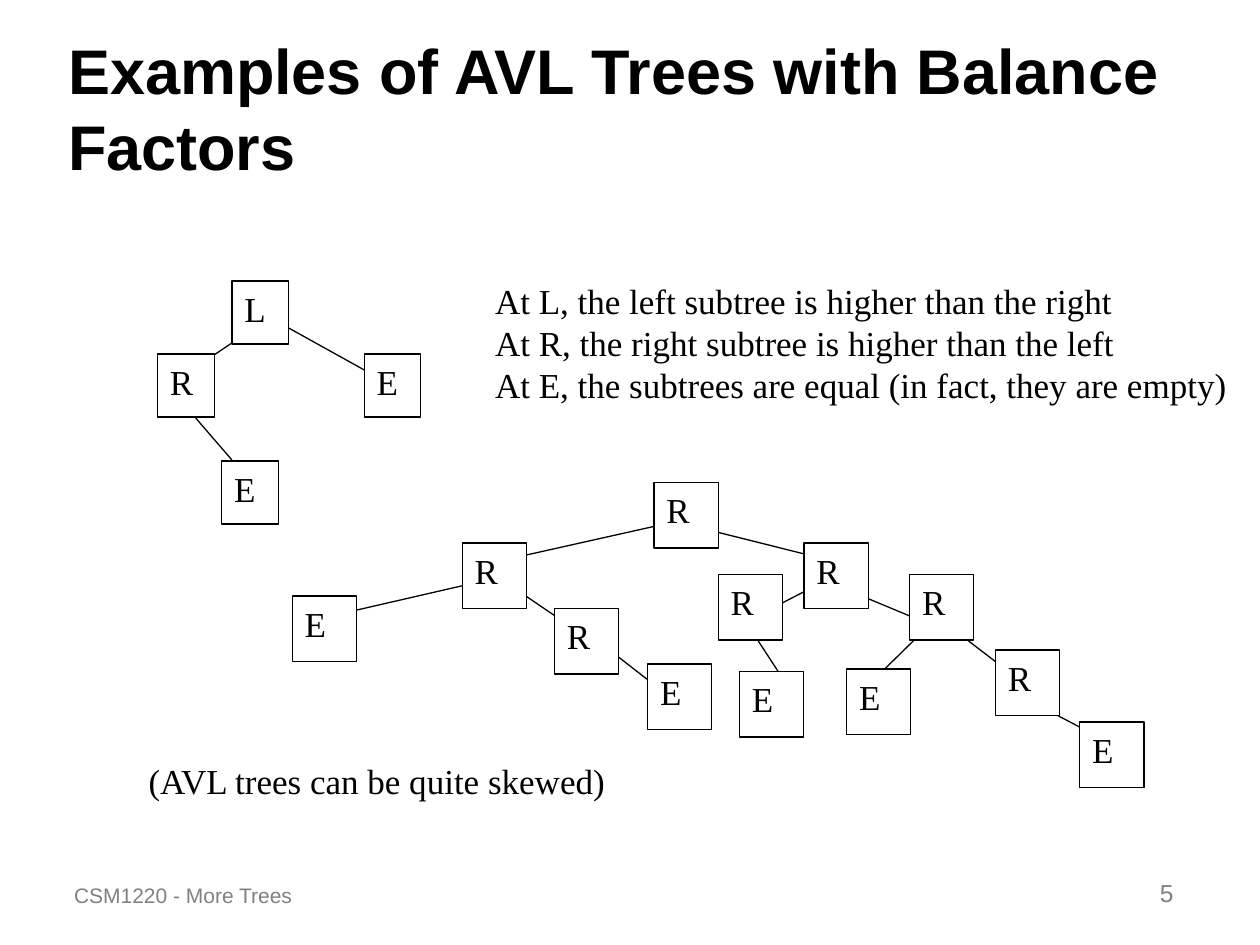
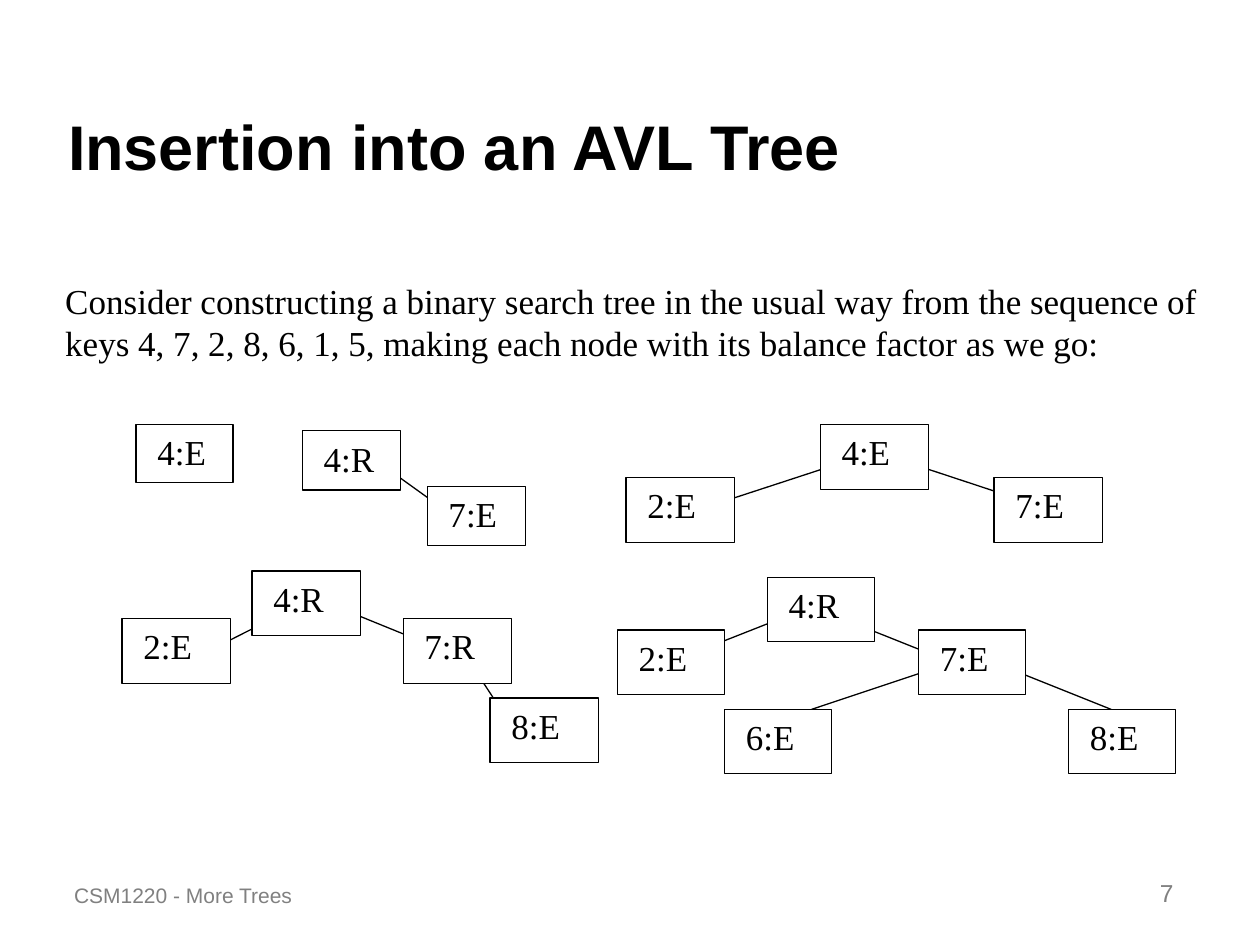
from lxml.etree import SubElement
from pptx import Presentation
from pptx.dml.color import RGBColor
from pptx.enum.shapes import MSO_CONNECTOR as Connector, MSO_SHAPE as Preset
from pptx.enum.text import MSO_ANCHOR as Anchor, MSO_AUTO_SIZE as AutoSize, PP_ALIGN as Align
from pptx.oxml.ns import qn
from pptx.util import Pt

BLACK, WHITE, GRAY = "000000", "FFFFFF", "808080"
TITLE_STYLE = {"name": "Arial", "size": Pt(36), "bold": True}
BODY_STYLE = {"name": "Times New Roman", "size": Pt(20)}
FOOTER_STYLE = {"name": "Arial", "size": Pt(12)}
NUMBER_STYLE = {"name": "Arial", "size": Pt(14)}
TITLE_BOX = (31.7, 18, 652.3, 90)
FOOTER_BOX = (35.3, 486, 216, 36)
NUMBER_BOX = (527.8, 486, 149.8, 36)
FOOTER = "CSM1220 - More Trees"
MARGIN = 7.2
KEY_MARGIN = 12.2

SLIDES = [
    {
        "title": "Examples of AVL Trees with Balance Factors",
        "number": "5",
        "node_margin": MARGIN,
        "notes": [
            (["(AVL trees can be quite skewed)"], (77.8, 430.6, 306, 31.7), True),
            (["At L, the left subtree is higher than the right",
              "At R, the right subtree is higher than the left",
              "At E, the subtrees are equal (in fact, they are empty)"],
             (275.8, 156.2, 432.7, 79.2), False),
        ],
        "trees": [
            {
                "size": (32.4, 36),
                "nodes": [("L", 132.5, 160.6), ("E", 208.1, 202.3),
                          ("R", 90, 202.3), ("E", 126.7, 263.5)],
                "edges": [(154.1, 181.4, 100.8, 217.4), (154.1, 181.4, 218.9, 217.4),
                          (100.8, 226.1, 132.5, 262.8)],
            },
            {
                "size": (36.7, 37.4),
                "nodes": [("R", 264.2, 310.3), ("R", 373.7, 275.8), ("R", 459.4, 310.3),
                          ("R", 519.8, 328.3), ("R", 410.4, 328.3), ("R", 568.8, 371.5),
                          ("E", 617, 412.6), ("E", 167, 340.6), ("R", 316.8, 347.8),
                          ("E", 370.1, 379.4), ("E", 422.6, 383.8), ("E", 483.8, 382.3)],
                "edges": [(534.2, 354.2, 504, 383.8), (385.9, 298.1, 276.5, 322.6),
                          (385.9, 298.1, 483.8, 322.6), (276.5, 331.9, 167, 357.1),
                          (293, 335.5, 329, 360), (471.6, 331.9, 422.6, 357.1),
                          (471.6, 331.9, 532.1, 357.1), (422.6, 349.9, 447.1, 387.4),
                          (532.1, 349.9, 581, 387.4), (581, 396.7, 629.3, 421.9),
                          (329, 356.4, 378, 394.6)],
            },
        ],
    },
    {
        "title": "Insertion into an AVL Tree",
        "number": "7",
        "node_margin": KEY_MARGIN,
        "notes": [
            (["Consider constructing a binary search tree in the usual way from the sequence of "
              "keys 4, 7, 2, 8, 6, 1, 5, making each node with its balance factor as we go:"],
             (30.2, 156.2, 666, 55.4), True),
        ],
        "trees": [
            {"size": (55.4, 33.1), "nodes": [("4:E", 77.8, 242.6)], "edges": []},
            {
                "size": (56.2, 33.8),
                "nodes": [("4:R", 172.8, 246.2), ("7:E", 244.1, 277.9)],
                "edges": [(217.4, 265, 266.4, 300.2)],
            },
            {
                "size": (61.9, 37),
                "nodes": [("4:E", 468.7, 242.6), ("2:E", 357.8, 272.9), ("7:E", 568.1, 272.9)],
                "edges": [(481.7, 264.2, 406.8, 288.7), (518.4, 264.2, 592.6, 288.7)],
            },
            {
                "size": (61.9, 37),
                "nodes": [("4:R", 144, 326.2), ("2:E", 69.8, 353.5),
                          ("7:R", 230.4, 353.5), ("8:E", 280.1, 398.9)],
                "edges": [(267.8, 377.3, 292.3, 414.7), (168.5, 347, 118.8, 372.2),
                          (193, 347, 254.9, 372.2)],
            },
            {
                "size": (61.2, 36.7),
                "nodes": [("4:R", 438.5, 329.8), ("2:E", 352.8, 360), ("7:E", 524.9, 360),
                          ("6:E", 414, 405.4), ("8:E", 610.6, 405.4)],
                "edges": [(537.1, 380.9, 463.7, 405.4), (573.8, 380.9, 635, 405.4),
                          (475.9, 351.4, 537.1, 375.8), (451.4, 351.4, 389.5, 375.8)],
            },
        ],
    },
]


def color(value):
    return RGBColor.from_string(value)


def points(values):
    return [Pt(value) for value in values]


def set_attributes(target, values):
    for name, value in values.items():
        setattr(target, name, value)


def write(shape, lines, style, ink=BLACK, align=Align.LEFT, anchor=Anchor.TOP,
          wrap=True, left_margin=MARGIN):
    frame = shape.text_frame
    frame.text = "\n".join(lines)
    set_attributes(frame, {
        "auto_size": AutoSize.NONE, "word_wrap": wrap, "vertical_anchor": anchor,
        "margin_left": Pt(left_margin), "margin_right": Pt(MARGIN),
        "margin_top": Pt(3.6), "margin_bottom": Pt(3.6),
    })
    for paragraph in frame.paragraphs:
        paragraph.alignment = align
        set_attributes(paragraph.font, style)
        paragraph.font.color.rgb = color(ink)


def add_text(slide, lines, box, style, **options):
    write(slide.shapes.add_textbox(*points(box)), lines, style, **options)


def add_title(slide, text):
    title = slide.shapes.title
    set_attributes(title, dict(zip(("left", "top", "width", "height"), points(TITLE_BOX))))
    write(title, [text], TITLE_STYLE, anchor=Anchor.BOTTOM)


def add_edge(slide, ends):
    edge = slide.shapes.add_connector(Connector.STRAIGHT, *points(ends))
    edge.line.color.rgb = color(BLACK)
    edge.line.width = Pt(0.75)
    SubElement(edge._element.spPr, qn("a:effectLst"))


def add_node(slide, label, box, left_margin):
    node = slide.shapes.add_shape(Preset.RECTANGLE, *points(box))
    node.shadow.inherit = False
    node.fill.solid()
    node.fill.fore_color.rgb = color(WHITE)
    node.line.color.rgb = color(BLACK)
    node.line.width = Pt(0.75)
    write(node, [label], BODY_STYLE, left_margin=left_margin)


def add_tree(slide, tree, left_margin):
    for ends in tree["edges"]:
        add_edge(slide, ends)
    for label, left, top in tree["nodes"]:
        add_node(slide, label, (left, top, *tree["size"]), left_margin)


def add_footer(slide, number):
    add_text(slide, [FOOTER], FOOTER_BOX, FOOTER_STYLE, ink=GRAY, anchor=Anchor.BOTTOM)
    add_text(slide, [number], NUMBER_BOX, NUMBER_STYLE, ink=GRAY,
             align=Align.RIGHT, anchor=Anchor.BOTTOM)


def main():
    presentation = Presentation()
    presentation.slide_width, presentation.slide_height = Pt(720), Pt(540)
    for content in SLIDES:
        slide = presentation.slides.add_slide(presentation.slide_layouts[5])
        add_title(slide, content["title"])
        for tree in content["trees"]:
            add_tree(slide, tree, content["node_margin"])
        for lines, box, wrap in content["notes"]:
            add_text(slide, lines, box, BODY_STYLE, wrap=wrap)
        add_footer(slide, content["number"])
    presentation.save("out.pptx")


if __name__ == "__main__":
    main()
